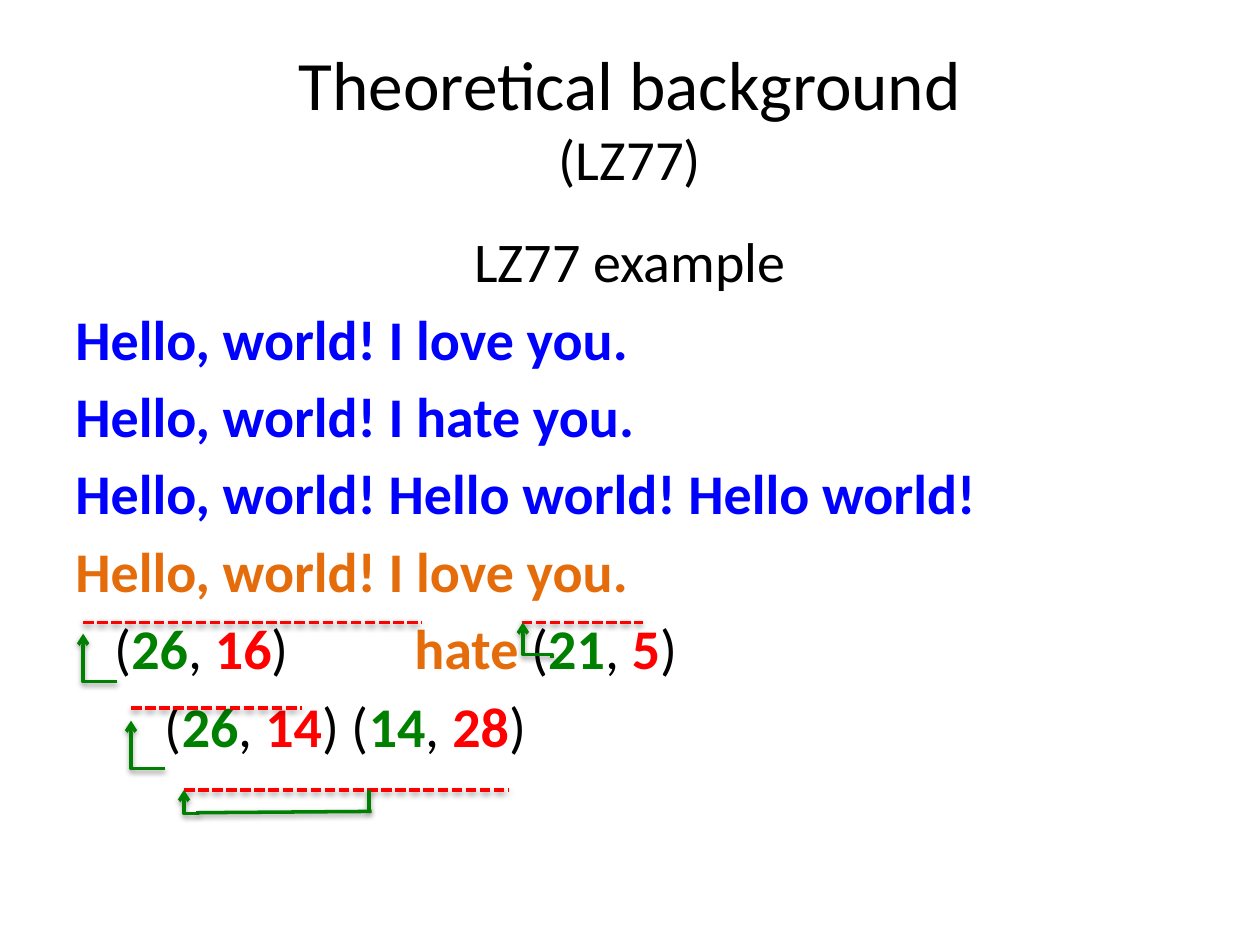
import pptx
import pptx.util
import pptx.dml.color
import pptx.enum.dml
import pptx.enum.shapes
import pptx.enum.text
import pptx.oxml
import pptx.oxml.ns
import lxml.etree

Inches = pptx.util.Inches
Pt = pptx.util.Pt
KINDS = pptx.enum.shapes.MSO_CONNECTOR
CENTER = pptx.enum.text.PP_ALIGN.CENTER

COLORS = {"black": "000000", "blue": "0000FF", "orange": "E46C0A",
          "green": "008000", "red": "FF0000"}

SHADOW = (
    '<a:effectLst xmlns:a="http://schemas.openxmlformats.org/drawingml/2006/main">'
    '<a:outerShdw blurRad="40000" dist="20000" dir="5400000" rotWithShape="0">'
    '<a:srgbClr val="000000"><a:alpha val="38000"/></a:srgbClr>'
    '</a:outerShdw></a:effectLst>')


def color(name):
    return pptx.dml.color.RGBColor.from_string(COLORS[name])


def child(parent, tag, **attrs):
    return lxml.etree.SubElement(parent, pptx.oxml.ns.qn(tag), attrs)


class Page:
    def __init__(self, slide, font="Calibri", size=32, width=2):
        self.slide = slide
        self.font = font
        self.size = size
        self.width = width

    def style(self, run, name="black", size=None):
        run.font.name = self.font
        run.font.size = Pt(size or self.size)
        run.font.bold = name != "black"
        run.font.color.rgb = color(name)

    def box(self, left, top, width, height):
        shape = self.slide.shapes.add_textbox(
            Inches(left), Inches(top), Inches(width), Inches(height))
        shape.text_frame.word_wrap = True
        return shape.text_frame

    def title(self, head, sub):
        frame = self.box(0.5, 0.3, 9, 1.25)
        frame.vertical_anchor = pptx.enum.text.MSO_ANCHOR.MIDDLE
        frame.text = f"{head}\v{sub}"
        para = frame.paragraphs[0]
        para.alignment = CENTER
        for run, size in zip(para.runs, (39.6, 32.4)):
            self.style(run, size=size)

    def body(self, lines):
        """Write lines of (tab stops, [(text, color), ...])."""
        frame = self.box(0.5, 1.75, 9, 4.95)
        for i, (tabs, parts) in enumerate(lines):
            para = frame.add_paragraph() if i else frame.paragraphs[0]
            para.space_before = Pt(5.8)
            for text, name in parts:
                run = para.add_run()
                run.text = text
                self.style(run, name)
            if tabs:
                stops = child(para._p.get_or_add_pPr(), "a:tabLst")
                for tab in tabs:
                    child(stops, "a:tab", pos=str(Inches(tab)), algn="l")
        frame.paragraphs[0].alignment = CENTER

    def line(self, x1, y1, x2, y2, name="green", kind=KINDS.STRAIGHT):
        link = self.slide.shapes.add_connector(
            kind, Inches(x1), Inches(y1), Inches(x2), Inches(y2))
        link.line.color.rgb = color(name)
        link.line.width = Pt(self.width)
        link._element.spPr.append(pptx.oxml.parse_xml(SHADOW))
        return link

    def dash(self, x1, x2, y):
        link = self.line(x1, y, x2, y, "red")
        link.line.dash_style = pptx.enum.dml.MSO_LINE.SQUARE_DOT

    def hook(self, x1, y1, x2, y2, bend=0):
        """Elbow arrow from the lower right, leftwards, then up to its tip."""
        midx, midy = (x1 + x2) / 2, (y1 + y2) / 2
        halfw, halfh = (y1 - y2) / 2, (x1 - x2) / 2
        link = self.line(midx - halfw, midy + halfh, midx + halfw, midy - halfh,
                         kind=KINDS.ELBOW)
        props = link._element.spPr
        props.find(pptx.oxml.ns.qn("a:xfrm")).set("rot", "16200000")
        guides = props.find(pptx.oxml.ns.qn("a:prstGeom")).get_or_add_avLst()
        child(guides, "a:gd", name="adj1", fmla=f"val {round(bend * 100000)}")
        child(link.line._get_or_add_ln(), "a:tailEnd", type="arrow")


def pair(back, count):
    """Runs of one (distance, length) code."""
    return [("(", "black"), (back, "green"), (", ", "black"),
            (count, "red"), (")", "black")]


def main():
    deck = pptx.Presentation()
    deck.slide_width, deck.slide_height = Inches(10), Inches(7.5)
    page = Page(deck.slides.add_slide(deck.slide_layouts[6]))

    page.title("Theoretical background", "(LZ77)")
    love = "Hello, world! I love you."
    plain = [love, "Hello, world! I hate you.",
             "Hello, world! Hello world! Hello world!"]
    page.body(
        [((), [("LZ77 example", "black")])]
        + [((), [(text, "blue")]) for text in plain]
        + [((), [(love, "orange")]),
           ((0.31, 2.69), [("\t", "black"), *pair("26", "16"), ("\t", "black"),
                           ("hate ", "orange"), *pair("21", "5")]),
           ((0.71,), [("\t", "black"), *pair("26", "14"), (" ", "black"),
                      *pair("14", "28")])])

    for x1, x2, y in [(0.66, 3.35, 4.94), (4.14, 5.1, 4.94),
                      (1.04, 2.4, 5.62), (1.46, 4.04, 6.27)]:
        page.dash(x1, x2, y)
    page.hook(0.93, 5.41, 0.66, 5.03)
    page.hook(4.38, 5.22, 4.15, 4.94, 0.09)
    page.hook(1.31, 6.1, 1.04, 5.72)
    page.hook(1.57, 6.44, 1.46, 6.27, -0.1)
    page.line(2.93, 6.44, 2.93, 6.27)
    page.line(2.95, 6.44, 1.58, 6.45)

    deck.save("out.pptx")


if __name__ == "__main__":
    main()
